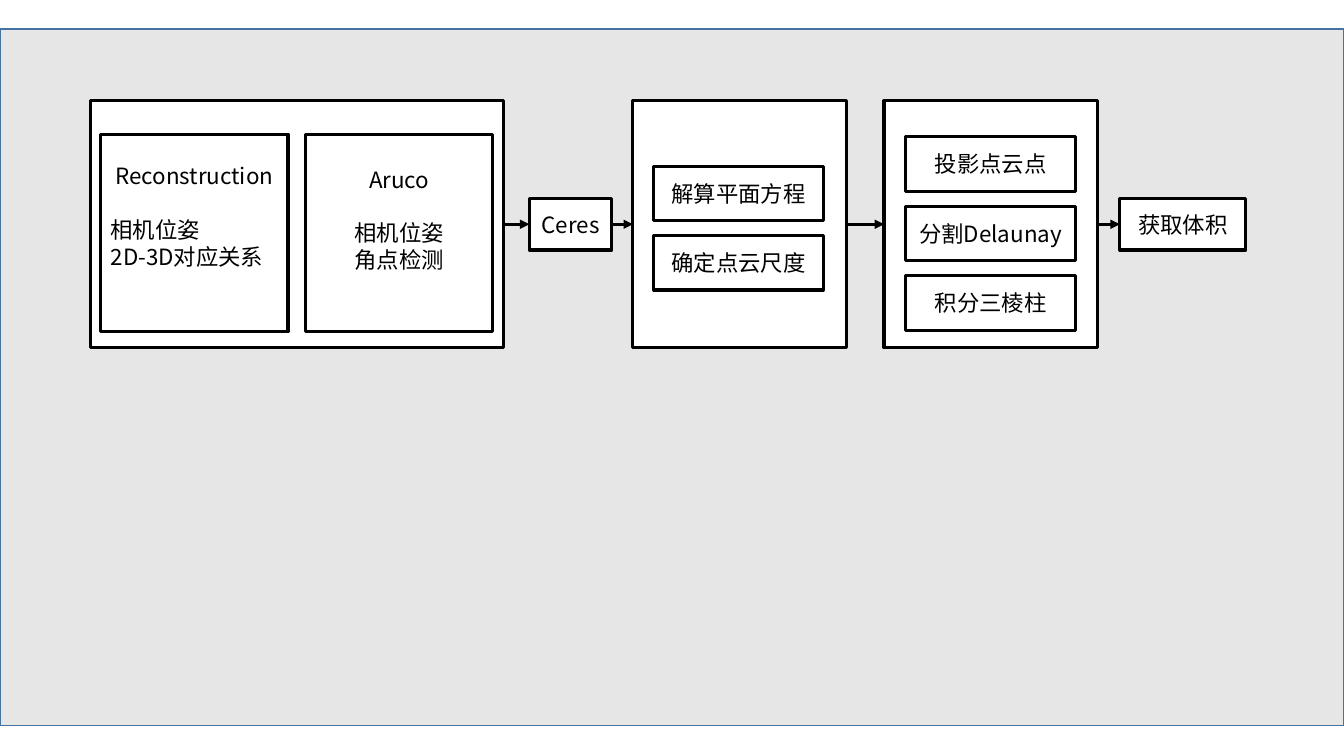
"""Draw the flow from camera poses to the measured volume."""
from lxml.etree import SubElement as Sub
from pptx import Presentation
from pptx.dml.color import RGBColor
from pptx.enum.shapes import MSO_CONNECTOR as Line, MSO_SHAPE as Kind
from pptx.enum.text import MSO_ANCHOR as Anchor, PP_ALIGN as Align
from pptx.oxml.ns import qn
from pptx.util import Cm, Pt

BLACK = RGBColor(0, 0, 0)
WHITE = RGBColor(255, 255, 255)
GREY = RGBColor(0xE7, 0xE6, 0xE6)
BLUE = RGBColor(0x43, 0x73, 0x9E)


class Flow:
    def __init__(self, slide, font="Noto Sans CJK SC", size=16, width=2.25):
        self.slide, self.font, self.size, self.width = slide, font, size, width

    def box(self, x, y, w, h, fill=WHITE, edge=BLACK, width=None, kind=Kind.RECTANGLE):
        shape = self.slide.shapes.add_shape(kind, Cm(x), Cm(y), Cm(w), Cm(h))
        shape.shadow.inherit = False
        shape.fill.solid()
        shape.fill.fore_color.rgb = fill
        shape.line.color.rgb = edge
        shape.line.width = Pt(width or self.width)
        return shape

    def label(self, shape, text, align=Align.CENTER, gap=0, side=0.25, foot=0.13):
        frame = shape.text_frame
        frame.word_wrap = True
        frame.vertical_anchor = Anchor.MIDDLE
        frame.margin_left = frame.margin_right = Cm(side)
        frame.margin_bottom = Cm(foot)
        for i, line in enumerate(text.split("\n")):
            para = frame.paragraphs[0] if i == 0 else frame.add_paragraph()
            para.alignment = align if i else Align.CENTER
            if i == 1:
                para.space_before = Pt(gap)
            run = para.add_run()
            run.text = line
            run.font.size = Pt(self.size)
            run.font.name = self.font
            run.font.color.rgb = BLACK
            Sub(run.font._element, qn("a:ea"), typeface=self.font)

    def stack(self, x, y, names):
        for i, name in enumerate(names):
            self.label(self.box(x, y + 1.75 * i, 4.27, 1.37), name, side=0.1)

    def arrow(self, start, end):
        link = self.slide.shapes.add_connector(Line.STRAIGHT, 0, 0, 0, 0)
        link.begin_connect(start, 3)
        link.end_connect(end, 1)
        link.line.color.rgb = BLACK
        link.line.width = Pt(self.width)
        Sub(link.line._get_or_add_ln(), qn("a:tailEnd"), type="triangle")
        Sub(link._element.spPr, qn("a:effectLst"))


def main():
    deck = Presentation()
    deck.slide_width, deck.slide_height = Cm(33.87), Cm(19.05)
    flow = Flow(deck.slides.add_slide(deck.slide_layouts[6]))
    flow.box(0, 0.73, 33.87, 17.56, GREY, BLUE, 1, Kind.FLOWCHART_PROCESS)

    pose, plane, mesh = [
        flow.box(x, 2.54, w, 6.22)
        for x, w in ((2.29, 10.41), (15.95, 5.39), (22.28, 5.39))
    ]
    lanes = (
        (2.54, "Reconstruction\n相机位姿\n2D-3D对应关系", Align.LEFT, 0.98),
        (7.7, "Aruco\n相机位姿\n角点检测", Align.CENTER, 0.8),
    )
    for x, text, align, foot in lanes:
        flow.label(flow.box(x, 3.38, 4.72, 4.98), text, align=align, gap=19, foot=foot)

    flow.stack(16.48, 4.19, ("解算平面方程", "确定点云尺度"))
    flow.stack(22.83, 3.45, ("投影点云点", "分割Delaunay", "积分三棱柱"))

    solver = flow.box(13.34, 5, 2.08, 1.3)
    flow.label(solver, "Ceres", side=0.1)
    volume = flow.box(28.22, 5, 3.18, 1.3)
    flow.label(volume, "获取体积")

    steps = (pose, solver, plane, mesh, volume)
    for start, end in zip(steps, steps[1:]):
        flow.arrow(start, end)
    deck.save("out.pptx")


if __name__ == "__main__":
    main()
